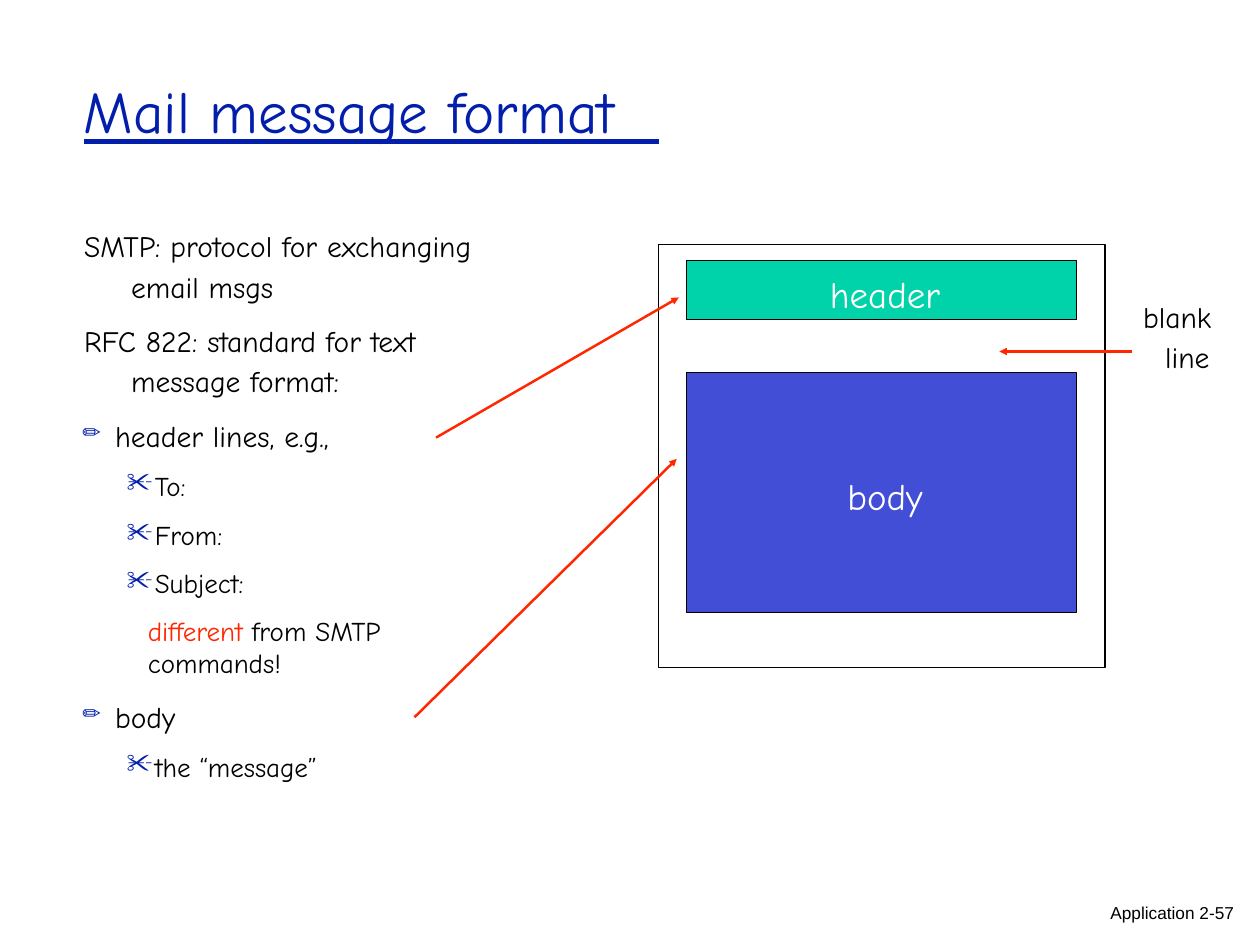
from collections import namedtuple

from lxml.etree import SubElement
from pptx import Presentation
from pptx.dml.color import RGBColor
from pptx.enum.shapes import MSO_CONNECTOR as CONNECTOR, MSO_SHAPE as SHAPE
from pptx.enum.text import MSO_ANCHOR as ANCHOR, PP_ALIGN as ALIGN
from pptx.oxml.ns import qn
from pptx.util import Cm, Pt

BLUE = RGBColor(0x02, 0x1E, 0xAA)
BLACK = RGBColor(0, 0, 0)
WHITE = RGBColor(0xFF, 0xFF, 0xFF)
RED = RGBColor(0xFF, 0x26, 0x00)
GREEN = RGBColor(0x00, 0xD2, 0xA9)
INDIGO = RGBColor(0x43, 0x4E, 0xD6)
FONT = "Comic Neue"

# Boxes are in centimetres
Box = namedtuple("Box", "left top width height")
# Outline styles: indents in centimetres, bullet size in percent
Style = namedtuple("Style", "size margin indent spacing bullet percent level")
INTRO = Style(24, 1.5, -1.35, 1.15, None, None, 0)
POINT = Style(24, 1.04, -0.94, 1, "✏", 75, 0)
ITEM = Style(22, 2.18, -0.81, 1, "✂", 100, 1)
REMARK = Style(22, 1.98, 0, 1, None, None, 0)

# Style, space before, pieces of text with their colours
OUTLINE = [
    (INTRO, 1, [("SMTP: protocol for exchanging email msgs", BLACK)]),
    (INTRO, 11, [("RFC 822: standard for text message format:", BLACK)]),
    (POINT, 15.2, [("header lines, e.g.,", BLACK)]),
    (ITEM, 13.2, [("To:", BLACK)]),
    (ITEM, 13.6, [("From:", BLACK)]),
    (ITEM, 12.6, [("Subject:", BLACK)]),
    (REMARK, 12.6, [("different ", RED), ("from SMTP commands!", BLACK)]),
    (POINT, 15.6, [("body", BLACK)]),
    (ITEM, 13.2, [("the “message”", BLACK)]),
]


def lengths(box):
    return [Cm(value) for value in box]


def format_run(run, size, color, font=FONT):
    run.font.name = font
    run.font.size = Pt(size)
    run.font.color.rgb = color


def set_insets(frame, left=0.0, top=0.0, right=0.0):
    frame.word_wrap = True
    frame.margin_left, frame.margin_top = Cm(left), Cm(top)
    frame.margin_right, frame.margin_bottom = Cm(right), 0


def set_indent(paragraph, margin, indent):
    properties = paragraph._p.get_or_add_pPr()
    properties.set("marL", str(Cm(margin)))
    properties.set("indent", str(Cm(indent)))
    return properties


def add_text_box(slide, box, **insets):
    frame = slide.shapes.add_textbox(*lengths(box)).text_frame
    set_insets(frame, **insets)
    return frame


def add_line(slide, start, end, color, width, arrow=False):
    line = slide.shapes.add_connector(CONNECTOR.STRAIGHT, *lengths(start + end))
    line.line.color.rgb = color
    line.line.width = Pt(width)
    if arrow:
        SubElement(line.line._get_or_add_ln(), qn("a:tailEnd"), type="triangle")
    SubElement(line._element.spPr, qn("a:effectLst"))


def add_title(slide, box):
    title = slide.shapes.title
    title.left, title.top, title.width, title.height = lengths(box)
    frame = title.text_frame
    frame.text = "Mail message format"
    frame.vertical_anchor = ANCHOR.TOP
    set_insets(frame, top=0.03)
    paragraph = frame.paragraphs[0]
    paragraph.alignment = ALIGN.LEFT
    paragraph.space_before = Pt(1)
    format_run(paragraph.runs[0], 48, BLUE)
    # Rule under the title
    rule_top = box.top + 1.97
    add_line(slide, (box.left, rule_top), (box.left + box.width, rule_top), BLUE, 4.1)


def add_outline(slide, box):
    frame = add_text_box(slide, box, top=0.03, right=2.05)
    for index, (style, space, pieces) in enumerate(OUTLINE):
        paragraph = frame.add_paragraph() if index else frame.paragraphs[0]
        paragraph.level = style.level
        paragraph.line_spacing = float(style.spacing)
        paragraph.space_before = Pt(space)
        properties = set_indent(paragraph, style.margin, style.indent)
        if style.bullet:
            bullet_color = SubElement(properties, qn("a:buClr"))
            SubElement(bullet_color, qn("a:srgbClr"), val=str(BLUE))
            SubElement(properties, qn("a:buSzPct"), val=str(style.percent * 1000))
            SubElement(properties, qn("a:buChar"), char=style.bullet)
        for text, color in pieces:
            run = paragraph.add_run()
            run.text = text
            format_run(run, style.size, color)


def add_block(slide, box, fill=None, text=""):
    block = slide.shapes.add_shape(SHAPE.RECTANGLE, *lengths(box))
    block.shadow.inherit = False
    block.line.color.rgb = BLACK
    block.line.width = Pt(1)
    if fill is None:
        block.fill.background()
        return
    block.fill.solid()
    block.fill.fore_color.rgb = fill
    frame = block.text_frame
    set_insets(frame, left=0.2, top=0.2)
    frame.vertical_anchor = ANCHOR.MIDDLE
    frame.text = text
    frame.paragraphs[0].alignment = ALIGN.CENTER
    format_run(frame.paragraphs[0].runs[0], 30, WHITE)


def add_message(slide, box):
    add_block(slide, box)
    # Header and body inside the message frame
    left, width = box.left + 0.8, box.width - 1.62
    add_block(slide, Box(left, box.top + 0.46, width, 1.7), GREEN, "header")
    add_block(slide, Box(left, box.top + 3.68, width, 6.88), INDIGO, "body")
    # Label of the blank line
    label = Box(box.left + 13.86, box.top + 1.37, 2.13, 2.39)
    frame = add_text_box(slide, label, top=0.03)
    frame.text = "blank line"
    paragraph = frame.paragraphs[0]
    paragraph.line_spacing = 1.15
    paragraph.space_before = Pt(1)
    set_indent(paragraph, 0.66, -0.63)
    format_run(paragraph.runs[0], 24, BLACK)
    gap_top = box.top + 3.07
    add_line(slide, (box.left + 13.58, gap_top), (box.left + 9.77, gap_top), RED, 2, True)


def add_pointers(slide, outline, message):
    # From the outline points to the parts of the message
    pointers = [((10.24, 6.2), (0.58, 1.52)), ((9.62, 14.22), (0.52, 6.15))]
    for (start_x, start_y), (end_x, end_y) in pointers:
        start = (outline.left + start_x, outline.top + start_y)
        end = (message.left + end_x, message.top + end_y)
        add_line(slide, start, end, RED, 2, True)


def add_footer(slide, box):
    frame = add_text_box(slide, box)
    frame.text = "Application 2-57"
    frame.paragraphs[0].line_spacing = Pt(16.4)
    format_run(frame.paragraphs[0].runs[0], 14, BLACK, "Arial")


def main():
    presentation = Presentation()
    presentation.slide_width, presentation.slide_height = Cm(36.12), Cm(27.1)
    slide = presentation.slides.add_slide(presentation.slide_layouts[5])
    outline = Box(2.26, 6.35, 14, 15.2)
    message = Box(18.88, 7.01, 12.8, 12.14)
    add_title(slide, Box(2.4, 2.1, 16.5, 2.1))
    add_outline(slide, outline)
    add_message(slide, message)
    add_pointers(slide, outline, message)
    add_footer(slide, Box(31.83, 25.9, 3.78, 0.64))
    presentation.save("out.pptx")


if __name__ == "__main__":
    main()
